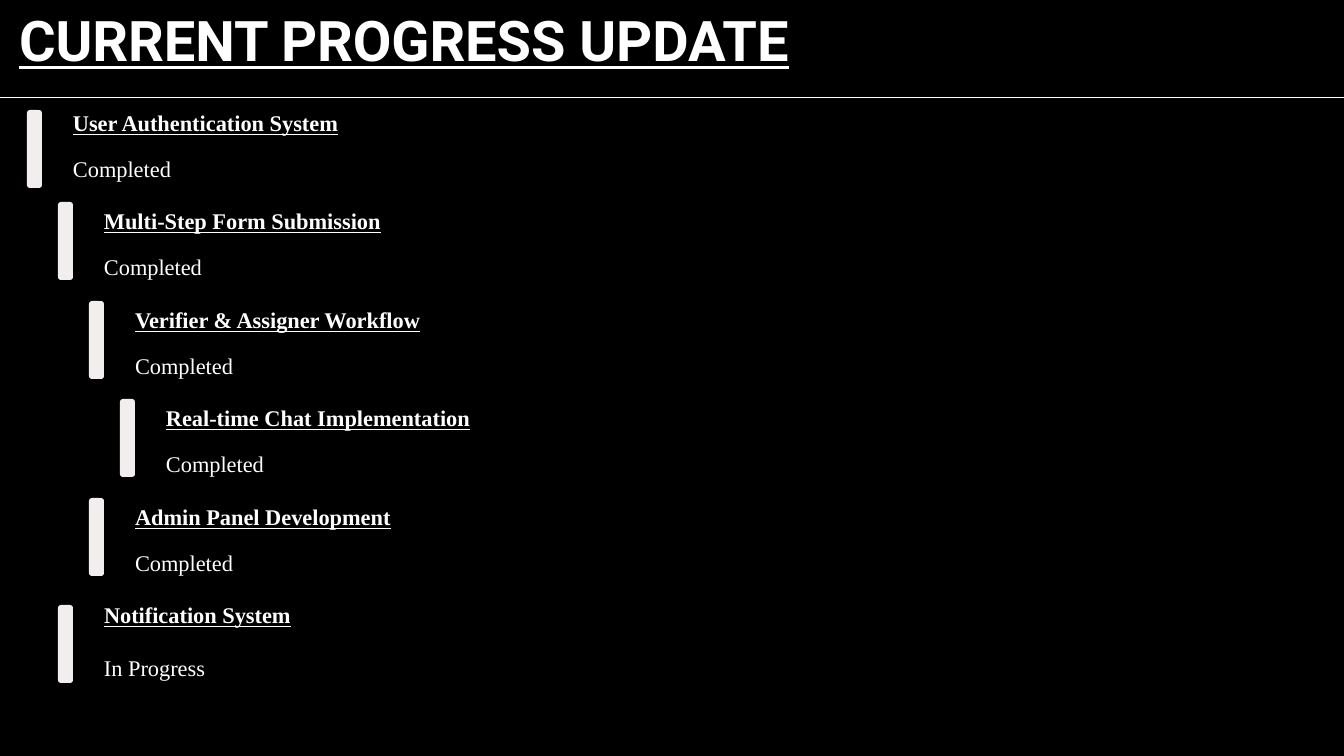
import pptx
import pptx.util
import pptx.dml.color
import pptx.enum.shapes
import pptx.enum.text
import lxml.etree

EMU_PER_PX = 914400 / 100.8
COLORS = {"background": "000000", "text": "FFFFFF", "bar": "F2EEEE"}


def px(length):
    return pptx.util.Emu(round(length * EMU_PER_PX))


def add_line_of_text(left, top, width, height, text, size, font, spacing, heading, inset=(0, 0)):
    frame = slide.shapes.add_textbox(px(left), px(top), px(width), px(height)).text_frame
    frame.margin_left = frame.margin_right = px(inset[0])
    frame.margin_top = frame.margin_bottom = px(inset[1])
    frame.word_wrap = False
    paragraph = frame.paragraphs[0]
    paragraph.text = text
    paragraph.line_spacing = pptx.util.Pt(spacing)
    paragraph.font.size = pptx.util.Pt(size)
    paragraph.font.name = font
    paragraph.font.bold = paragraph.font.underline = heading
    paragraph.font.color.rgb = pptx.dml.color.RGBColor.from_string(COLORS["text"])
    return frame


presentation = pptx.Presentation()
presentation.slide_width, presentation.slide_height = px(1344), px(756)
slide = presentation.slides.add_slide(presentation.slide_layouts[6])
slide.background.fill.solid()
slide.background.fill.fore_color.rgb = pptx.dml.color.RGBColor.from_string(COLORS["background"])

# Title
title = add_line_of_text(9, -19, 1117, 120, "CURRENT PROGRESS UPDATE", 40, "Roboto", 46, True, (10, 5))
title.word_wrap = True
title.vertical_anchor = pptx.enum.text.MSO_ANCHOR.MIDDLE

# Tasks: name, name width, status, indent level, bar offset, status offset
tasks = [
    ("User Authentication System", 349, "Completed", 0, 6, 45),
    ("Multi-Step Form Submission", 354, "Completed", 1, 0, 45),
    ("Verifier & Assigner Workflow", 353, "Completed", 2, 0, 45),
    ("Real-time Chat Implementation", 394, "Completed", 3, 0, 45),
    ("Admin Panel Development", 326, "Completed", 2, 0, 45),
    ("Notification System", 258, "In Progress", 1, 9, 52),
]
STATUS_RIGHT = 1496
for row, (name, name_width, status, level, bar_offset, status_offset) in enumerate(tasks):
    top = 104 + round(98.4 * row)
    bar_left = 27 + 31 * level
    text_left = bar_left + 46

    bar = slide.shapes.add_shape(
        pptx.enum.shapes.MSO_SHAPE.ROUNDED_RECTANGLE,
        px(bar_left), px(top + bar_offset), px(15), px(78))
    bar.adjustments[0] = 0.2
    bar.shadow.inherit = False
    bar.fill.solid()
    bar.fill.fore_color.rgb = pptx.dml.color.RGBColor.from_string(COLORS["bar"])
    bar.line.fill.background()

    add_line_of_text(text_left, top, name_width, 32, name, 16, "Times New Roman", 23, True)
    add_line_of_text(text_left, top + status_offset, STATUS_RIGHT - text_left, 33,
                     status, 16, "Times New Roman", 23.5, False)

# Rule under the title
rule = slide.shapes.add_connector(
    pptx.enum.shapes.MSO_CONNECTOR.STRAIGHT, px(0), px(98), px(1344), px(98))
rule.line.width = pptx.util.Pt(0.75)
rule.line.color.rgb = pptx.dml.color.RGBColor.from_string(COLORS["text"])
lxml.etree.SubElement(rule._element.spPr, pptx.oxml.ns.qn("a:effectLst"))

presentation.save("out.pptx")
